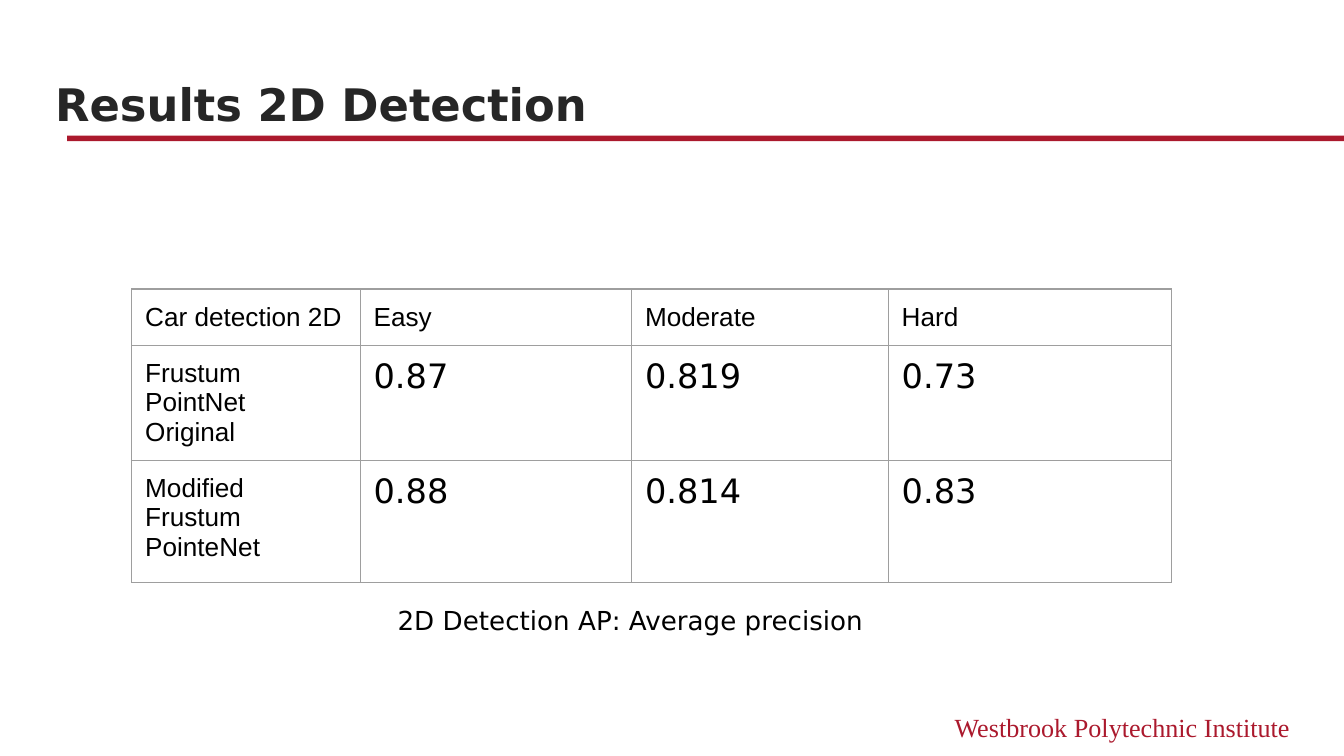
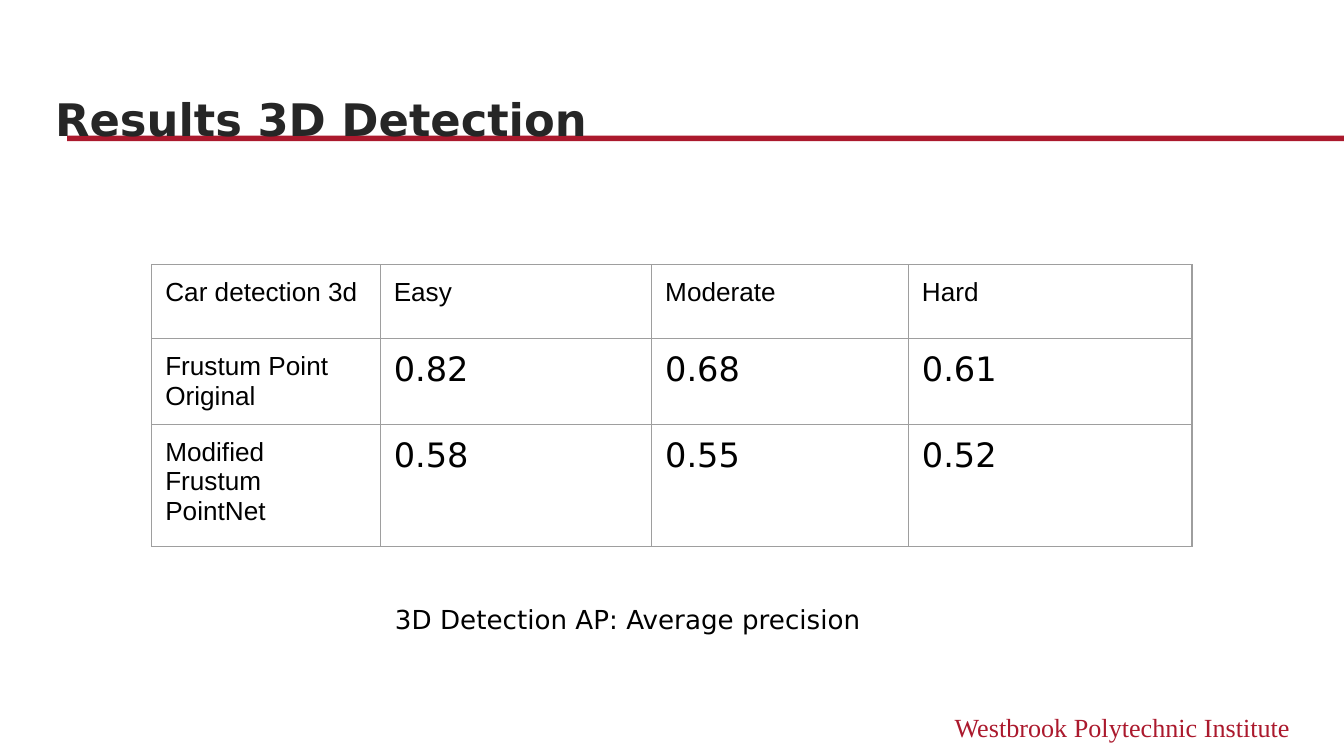
from lxml.etree import SubElement
from pptx import Presentation
from pptx.dml.color import RGBColor
from pptx.enum.shapes import MSO_SHAPE
from pptx.enum.text import MSO_ANCHOR, MSO_AUTO_SIZE, PP_ALIGN
from pptx.oxml.ns import qn
from pptx.util import Inches, Pt

CRIMSON = RGBColor(0xAB, 0x19, 0x2D)
CHARCOAL = RGBColor(0x26, 0x26, 0x26)
BLACK = RGBColor(0x00, 0x00, 0x00)
GRID_GRAY = RGBColor(0x9E, 0x9E, 0x9E)

HEADING_FONT = "DejaVu Sans"
LABEL_FONT = "Arial"
FOOTER_FONT = "Times New Roman"

COLUMN_WIDTHS = (1.7, 2.02, 1.91, 2.11)
LEVELS = ("Easy", "Moderate", "Hard")

RESULTS = (
    {
        "title": "Results 2D Detection",
        "title_box": (0.34, 0.38, 9.32, 0.63),
        "table_corner": (0.98, 2.15),
        "row_heights": (0.38, 0.61, 0.91),
        "rows": (
            ("Car detection 2D", *LEVELS),
            ("Frustum PointNet\nOriginal", "0.87", "0.819", "0.73"),
            ("Modified Frustum PointeNet", "0.88", "0.814", "0.83"),
        ),
        "caption": "2D Detection AP: Average precision",
        "caption_box": (2.86, 4.4, 3.75, 0.63),
    },
    {
        "title": "Results 3D Detection",
        "title_box": (0.34, 0.49, 9.32, 0.63),
        "table_corner": (1.13, 1.97),
        "row_heights": (0.55, 0.61, 0.91),
        "rows": (
            ("Car detection 3d", *LEVELS),
            ("Frustum Point\nOriginal", "0.82", "0.68", "0.61"),
            ("Modified Frustum PointNet", "0.58", "0.55", "0.52"),
        ),
        "caption": "3D Detection AP: Average precision",
        "caption_box": (2.84, 4.39, 3.92, 0.55),
    },
)


def set_font(para, name, size, color, bold=False):
    para.font.name = name
    para.font.size = Pt(size)
    para.font.color.rgb = color
    para.font.bold = bold


def set_margins(holder, horizontal, vertical):
    """Set the insets of a text frame or a table cell."""
    holder.margin_left = holder.margin_right = Inches(horizontal)
    holder.margin_top = holder.margin_bottom = Inches(vertical)


def add_text(page, box, text, margins, font, color, align=PP_ALIGN.LEFT):
    textbox = page.shapes.add_textbox(*map(Inches, box))
    frame = textbox.text_frame
    frame.word_wrap = True
    set_margins(frame, *margins)
    para = frame.paragraphs[0]
    para.text = text
    para.alignment = align
    set_font(para, font, 14, color)
    return textbox


def move_branding_to_layout(page):
    """Build the title rule and footer, then share them through the layout."""
    layout = page.slide_layout
    for placeholder in list(layout.placeholders):
        if placeholder.placeholder_format.idx != 0:
            layout.shapes.element.remove(placeholder.element)
    rule = page.shapes.add_shape(
        MSO_SHAPE.RECTANGLE, *map(Inches, (0.5, 1.01, 9.5, 0.04)))
    rule.shadow.inherit = False
    rule.fill.solid()
    rule.fill.fore_color.rgb = CRIMSON
    rule.line.fill.background()
    footer = add_text(page, (6, 5.25, 3.67, 0.3), "Westbrook Polytechnic Institute",
                      (0.07, 0.04), FOOTER_FONT, CRIMSON, PP_ALIGN.RIGHT)
    for shape in (rule, footer):
        layout.shapes.element.append(shape.element)


def fill_title(page, box, text):
    title = page.shapes.title
    title.left, title.top, title.width, title.height = map(Inches, box)
    frame = title.text_frame
    frame.text = text
    frame.word_wrap = True
    frame.auto_size = MSO_AUTO_SIZE.NONE
    frame.vertical_anchor = MSO_ANCHOR.BOTTOM
    set_margins(frame, 0.07, 0.04)
    para = frame.paragraphs[0]
    para.alignment = PP_ALIGN.LEFT
    set_font(para, HEADING_FONT, 24, CHARCOAL, bold=True)


def draw_borders(cell):
    properties = cell._tc.get_or_add_tcPr()
    for position, side in enumerate(("a:lnL", "a:lnR", "a:lnT", "a:lnB")):
        line = SubElement(properties, qn(side), w=str(Pt(0.75)))
        fill = SubElement(line, qn("a:solidFill"))
        SubElement(fill, qn("a:srgbClr"), val=str(GRID_GRAY))
        properties.insert(position, line)


def fill_cell(cell, text, is_score):
    cell.text = text
    cell.fill.background()
    set_margins(cell, 0.1, 0.1)
    draw_borders(cell)
    for para in cell.text_frame.paragraphs:
        if is_score:
            para.line_spacing = 0.95
            para.space_before = Pt(9)
            set_font(para, HEADING_FONT, 18, BLACK)
        else:
            set_font(para, LABEL_FONT, 14, BLACK)


def add_results_table(page, corner, row_heights, rows):
    size = (sum(COLUMN_WIDTHS), sum(row_heights))
    table = page.shapes.add_table(
        len(rows), len(COLUMN_WIDTHS), *map(Inches, corner + size)).table
    table.first_row = table.horz_banding = False
    for column, width in zip(table.columns, COLUMN_WIDTHS):
        column.width = Inches(width)
    for row, height in zip(table.rows, row_heights):
        row.height = Inches(height)
    for row_index, texts in enumerate(rows):
        for column_index, text in enumerate(texts):
            fill_cell(table.cell(row_index, column_index), text,
                      is_score=row_index > 0 and column_index > 0)


def add_results_page(page, result):
    fill_title(page, result["title_box"], result["title"])
    add_results_table(page, result["table_corner"], result["row_heights"], result["rows"])
    add_text(page, result["caption_box"], result["caption"],
             (0.1, 0.1), HEADING_FONT, BLACK)


def main():
    deck = Presentation()
    deck.slide_width = Inches(10)
    deck.slide_height = deck.slide_width * 9 // 16
    title_only = deck.slide_layouts[5]
    pages = [deck.slides.add_slide(title_only) for _ in RESULTS]
    move_branding_to_layout(pages[0])
    for page, result in zip(pages, RESULTS):
        add_results_page(page, result)
    deck.save("out.pptx")


if __name__ == "__main__":
    main()
